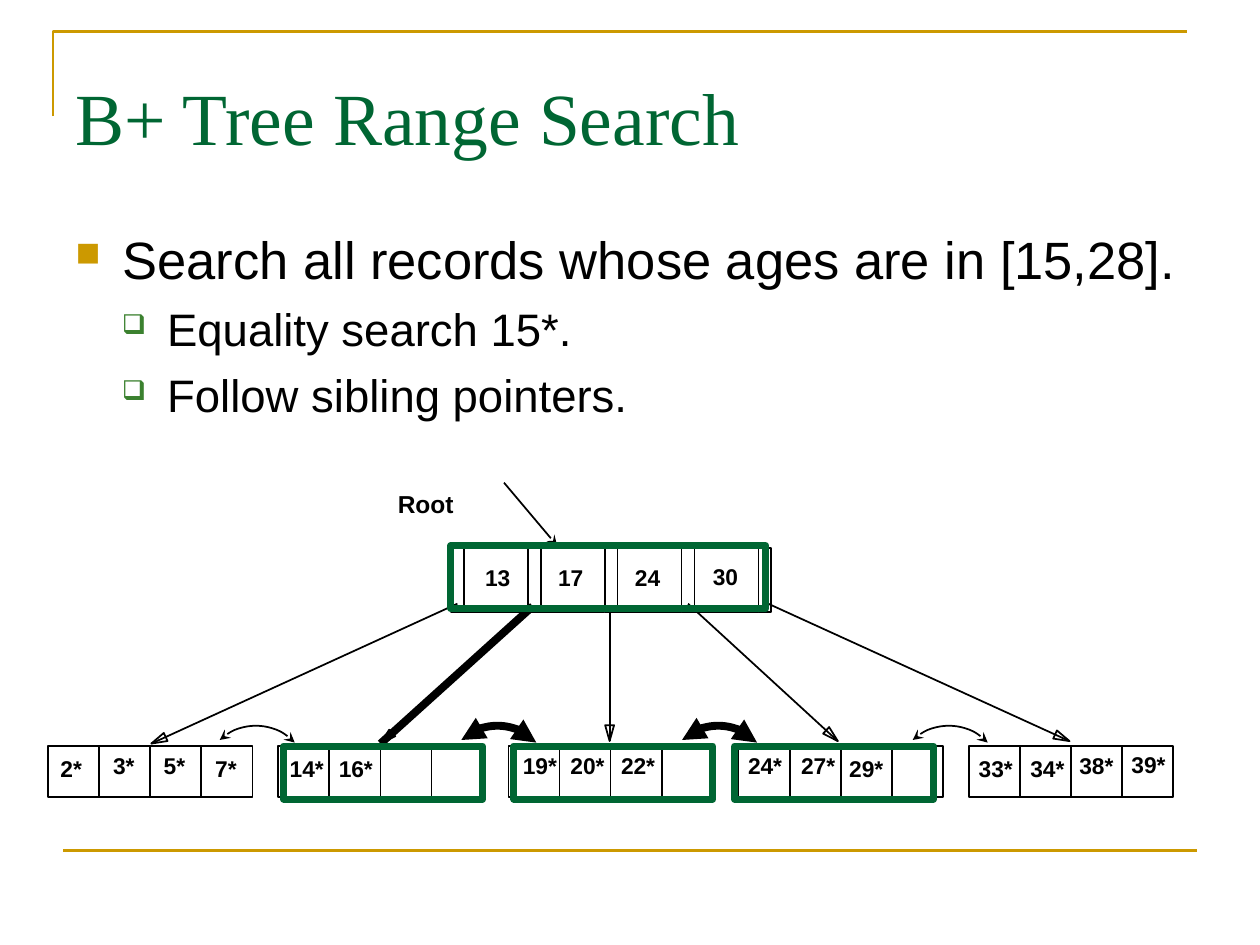
import math

from lxml.etree import SubElement
from pptx import Presentation
from pptx.dml.color import RGBColor
from pptx.enum.shapes import MSO_CONNECTOR, MSO_SHAPE
from pptx.enum.text import MSO_ANCHOR
from pptx.oxml.ns import qn
from pptx.util import Cm, Pt

STRAIGHT = MSO_CONNECTOR.STRAIGHT
RECTANGLE = MSO_SHAPE.RECTANGLE
ARC = MSO_SHAPE.ARC
MIDDLE = MSO_ANCHOR.MIDDLE

GOLD, GREEN, LEAF_GREEN, BLACK = "CC9900", "006633", "3B812F", "000000"
ROOT_LEFT, ROOT_TOP, KEY_WIDTH, ROOT_HEIGHT = 9.09, 11.05, 1.55, 1.29
POINTER_WIDTH = 0.26
LEAF_LEFT, LEAF_TOP, LEAF_STEP, ENTRY_SIZE = 0.97, 15.04, 4.64, 1.03
SIBLING_RADIUS, SIBLING_CENTER_Y = 1.07, 15.7

BULLETS = [
    ("Search all records whose ages are in [15,28].", 30, 0, 0.95, 0.95, "■", GOLD, 65),
    ("Equality search 15*.", 26, 6.5, 1.85, 0.91, "❑", LEAF_GREEN, 60),
    ("Follow sibling pointers.", 26, 6.5, 1.85, 0.91, "❑", LEAF_GREEN, 60),
]
CHILD_EDGES = [
    ((9.22, 12.17), (3.05, 14.99), 1),
    ((10.74, 12.22), (7.67, 14.99), 4.5),
    ((12.29, 12.22), (12.29, 14.94), 1),
    ((13.87, 12.17), (16.89, 14.94), 1),
    ((15.42, 12.14), (21.56, 14.94), 1),
]
ROOT_KEYS = [("13", 9.53, 11.25), ("17", 11, 11.25), ("24", 12.55, 11.25), ("30", 14.12, 11.23)]
LEAF_ENTRIES = [
    ("2*", 0.97, 15.09), ("3*", 2.03, 15.04), ("5*", 3.05, 15.04), ("7*", 4.09, 15.09),
    ("14*", 5.59, 15.09), ("16*", 6.58, 15.09),
    ("19*", 10.29, 15.04), ("20*", 11.25, 15.04), ("22*", 12.27, 15.04),
    ("24*", 14.83, 15.04), ("27*", 15.9, 15.04), ("29*", 16.87, 15.09),
    ("33*", 19.48, 15.09), ("34*", 20.52, 15.09), ("38*", 21.51, 15.04), ("39*", 22.56, 15.01),
]
SIBLING_LINKS = [
    (5.16, 1, "stealth"), (10.03, 4.5, "triangle"),
    (14.48, 4.5, "triangle"), (19.13, 1, "stealth"),
]
VISITED_NODES = [
    (9.09, 11, 6.35, 1.27), (5.72, 15.04, 4.01, 1.07),
    (10.36, 15.04, 4.01, 1.07), (14.81, 15.04, 4.01, 1.07),
]


def color(value):
    """Return the RGB colour for a hex string."""
    return RGBColor.from_string(value)


def set_outline(shape, line_color, width, head=None, tail=None):
    """Set the line of a shape, with arrowheads where named."""
    shape.line.color.rgb = color(line_color)
    shape.line.width = Pt(width)
    outline = shape._element.spPr.find(qn("a:ln"))
    for tag, arrow in (("a:headEnd", head), ("a:tailEnd", tail)):
        if arrow:
            SubElement(outline, qn(tag), type=arrow)


def add_preset(slide, kind, left, top, width, height, line_color, line_width, arrow=None):
    """Add an unfilled preset shape."""
    shape = slide.shapes.add_shape(kind, Cm(left), Cm(top), Cm(width), Cm(height))
    shape.shadow.inherit = False
    shape.fill.background()
    set_outline(shape, line_color, line_width, arrow, arrow)
    return shape


def add_line(slide, start, end, line_color, width, tail=None):
    """Add a straight line between two points."""
    connector = slide.shapes.add_connector(STRAIGHT, *map(Cm, start + end))
    set_outline(connector, line_color, width, tail=tail)
    SubElement(connector._element.spPr, qn("a:effectLst"))


def add_outline(slide, points, line_color, width, close=False):
    """Add an unfilled freeform through the points."""
    vertices = [(Cm(x), Cm(y)) for x, y in points]
    builder = slide.shapes.build_freeform(*vertices[0])
    builder.add_line_segments(vertices[1:], close=close)
    shape = builder.convert_to_shape()
    shape.shadow.inherit = False
    shape.fill.background()
    set_outline(shape, line_color, width)


def set_font(paragraph, name, size, font_color, bold=False):
    """Set the font of a paragraph."""
    paragraph.font.name = name
    paragraph.font.size = Pt(size)
    paragraph.font.bold = bold
    paragraph.font.color.rgb = color(font_color)


def add_text_box(slide, left, top, width, height, wrap=True):
    """Add a text box and return its text frame."""
    box = slide.shapes.add_textbox(Cm(left), Cm(top), Cm(width), Cm(height))
    box.text_frame.word_wrap = wrap
    return box.text_frame


def add_label(slide, text, left, top, width, height=0.79, size=13):
    """Add a short bold label."""
    paragraph = add_text_box(slide, left, top, width, height, wrap=False).paragraphs[0]
    paragraph.text = text
    set_font(paragraph, "Arial", size, BLACK, bold=True)


def set_bullet(paragraph, margin, hanging, character, bullet_color, percent):
    """Give a paragraph a hanging coloured bullet."""
    properties = paragraph._p.get_or_add_pPr()
    properties.set("marL", str(Cm(margin)))
    properties.set("indent", str(-Cm(hanging)))
    holder = SubElement(properties, qn("a:buClr"))
    SubElement(holder, qn("a:srgbClr"), val=bullet_color)
    SubElement(properties, qn("a:buSzPct"), val=str(percent * 1000))
    SubElement(properties, qn("a:buChar"), char=character)


def add_title(slide, text):
    """Add the slide title."""
    frame = add_text_box(slide, 1.27, 0.76, 22.86, 3.18)
    frame.vertical_anchor = MIDDLE
    frame.paragraphs[0].text = text
    set_font(frame.paragraphs[0], "Times New Roman", 42, GREEN)


def add_bullets(slide):
    """Add the bulleted search steps."""
    frame = add_text_box(slide, 1.27, 4.45, 22.86, 6)
    for index, (text, size, space, *bullet) in enumerate(BULLETS):
        paragraph = frame.add_paragraph() if index else frame.paragraphs[0]
        paragraph.text = text
        if space:
            paragraph.space_before = Pt(space)
        set_bullet(paragraph, *bullet)
        set_font(paragraph, "Arial", size, BLACK)


def add_root(slide):
    """Add the root node: a pointer strip and key per cell, then a last pointer."""
    for index in range(4):
        left = ROOT_LEFT + index * KEY_WIDTH
        divider = left + POINTER_WIDTH
        add_preset(slide, RECTANGLE, left, ROOT_TOP, KEY_WIDTH, ROOT_HEIGHT, BLACK, 1)
        add_line(slide, (divider, ROOT_TOP), (divider, ROOT_TOP + ROOT_HEIGHT), BLACK, 1)
    add_preset(slide, RECTANGLE, ROOT_LEFT + 4 * KEY_WIDTH, ROOT_TOP,
               POINTER_WIDTH, ROOT_HEIGHT, BLACK, 1)


def add_leaves(slide):
    """Add five leaf nodes of four entries each."""
    for leaf in range(5):
        for entry in range(4):
            left = LEAF_LEFT + leaf * LEAF_STEP + entry * ENTRY_SIZE
            add_preset(slide, RECTANGLE, left, LEAF_TOP, ENTRY_SIZE, ENTRY_SIZE, BLACK, 1)


def add_child_edge(slide, start, end, width):
    """Add a line to a leaf with a hollow arrowhead at its end."""
    add_line(slide, start, end, BLACK, width)
    angle = math.atan2(end[1] - start[1], end[0] - start[0])
    along_x, along_y = math.cos(angle), math.sin(angle)
    corners = [(end[0] - 0.32 * along_x - side * along_y,
                end[1] - 0.32 * along_y + side * along_x) for side in (-0.09, 0.09)]
    add_outline(slide, [corners[0], end, corners[1]], BLACK, 1, close=True)


def add_sibling_link(slide, center_x, width, arrow):
    """Add a two-headed arc between neighbouring leaves."""
    arc = add_preset(slide, ARC, center_x - SIBLING_RADIUS, SIBLING_CENTER_Y - SIBLING_RADIUS,
                     2 * SIBLING_RADIUS, 2 * SIBLING_RADIUS, BLACK, width, arrow)
    arc.rotation = 317


def main():
    """Build the slide and save it."""
    presentation = Presentation()
    presentation.slide_width, presentation.slide_height = Cm(25.4), Cm(19.05)
    slide = presentation.slides.add_slide(presentation.slide_layouts[6])
    add_outline(slide, [(1.07, 2.34), (1.07, 0.64), (23.93, 0.64)], GOLD, 1.5)
    add_line(slide, (1.27, 17.15), (24.13, 17.15), GOLD, 1.5)
    add_title(slide, "B+ Tree Range Search")
    add_bullets(slide)
    add_root(slide)
    add_leaves(slide)
    for edge in CHILD_EDGES:
        add_child_edge(slide, *edge)
    add_label(slide, "Root", 7.77, 9.73, 1.63, 0.84, 14)
    for text, left, top in ROOT_KEYS:
        add_label(slide, text, left, top, 1.02)
    for text, left, top in LEAF_ENTRIES:
        add_label(slide, text, left, top, 0.94 if len(text) == 2 else 1.19)
    add_line(slide, (10.16, 9.73), (11.23, 11), BLACK, 1, tail="stealth")
    for link in SIBLING_LINKS:
        add_sibling_link(slide, *link)
    for node in VISITED_NODES:
        add_preset(slide, RECTANGLE, *node, GREEN, 4)
    presentation.save("out.pptx")


if __name__ == "__main__":
    main()
